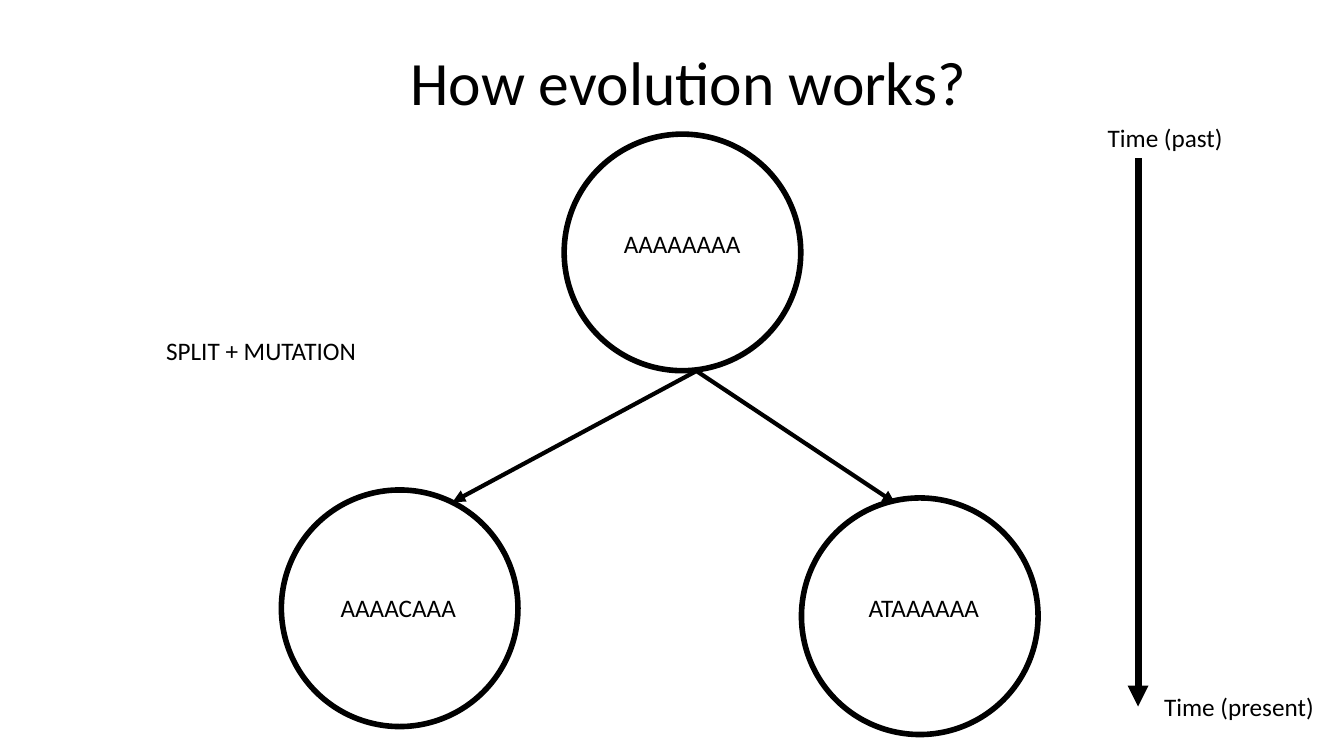
import pptx
import pptx.util
import pptx.dml.color
import pptx.enum.shapes
import pptx.enum.text
import pptx.oxml.ns
import lxml.etree

Pt = pptx.util.Pt
BLACK = pptx.dml.color.RGBColor(0x00, 0x00, 0x00)
FONT = "Calibri"
SIZE = 169  # circle diameter

# Left, top of each circle
CELLS = [(403, 95.8), (201, 350), (572.5, 355.7)]

# Text, left, top, width
LABELS = [
    ("AAAAAAAA", 438.5, 159.8, 98.6),
    ("AAAACAAA", 236.2, 419.8, 98.6),
    ("ATAAAAAA", 613.4, 419.8, 93.6),
    ("Time (past)", 784.1, 83.5, 97.9),
    ("Time (present)", 824.4, 490.3, 123.1),
    ("SPLIT + MUTATION", 111.6, 236.2, 151.2),
]

# Start, end, line width
SPLIT = (497.5, 265)
ARROWS = [
    (SPLIT, (323.3, 358.6), 3),
    (SPLIT, (639.4, 359.3), 3),
    ((812.9, 113), (812.9, 504.7), 5),
]


def add_run(para, text, size):
    run = para.add_run()
    run.text = text
    run.font.name = FONT
    run.font.size = Pt(size)
    run.font.color.rgb = BLACK


def set_title(slide, text):
    title = slide.shapes.title
    title.left, title.top = Pt(286), Pt(8.6)
    title.width, title.height = Pt(445), Pt(104.4)
    frame = title.text_frame
    frame.auto_size = pptx.enum.text.MSO_AUTO_SIZE.NONE
    frame.vertical_anchor = pptx.enum.text.MSO_ANCHOR.MIDDLE
    para = frame.paragraphs[0]
    para.alignment = pptx.enum.text.PP_ALIGN.LEFT
    para.line_spacing = 0.9
    add_run(para, text, 44)


def add_cell(slide, left, top):
    cell = slide.shapes.add_shape(
        pptx.enum.shapes.MSO_SHAPE.OVAL, Pt(left), Pt(top), Pt(SIZE), Pt(SIZE))
    cell.shadow.inherit = False
    cell.fill.background()
    cell.line.color.rgb = BLACK
    cell.line.width = Pt(4)


def add_label(slide, text, left, top, width):
    box = slide.shapes.add_textbox(Pt(left), Pt(top), Pt(width), Pt(28.8))
    frame = box.text_frame
    frame.word_wrap = False
    frame.auto_size = pptx.enum.text.MSO_AUTO_SIZE.SHAPE_TO_FIT_TEXT
    add_run(frame.paragraphs[0], text, 18)


def add_arrow(slide, start, end, width):
    arrow = slide.shapes.add_connector(
        pptx.enum.shapes.MSO_CONNECTOR.STRAIGHT,
        *(Pt(value) for value in start + end))
    arrow.line.color.rgb = BLACK
    arrow.line.width = Pt(width)
    qn = pptx.oxml.ns.qn
    props = arrow._element.spPr
    lxml.etree.SubElement(props.find(qn("a:ln")), qn("a:tailEnd"), type="triangle")
    lxml.etree.SubElement(props, qn("a:effectLst"))


def main():
    deck = pptx.Presentation()
    deck.slide_width, deck.slide_height = Pt(960), Pt(540)
    slide = deck.slides.add_slide(deck.slide_layouts[5])
    set_title(slide, "How evolution works?")

    # Parent cell and its two offspring
    for cell in CELLS:
        add_cell(slide, *cell)

    # Split arrows and time axis
    for arrow in ARROWS:
        add_arrow(slide, *arrow)

    # Sequences and captions
    for label in LABELS:
        add_label(slide, *label)

    deck.save("out.pptx")


if __name__ == "__main__":
    main()
